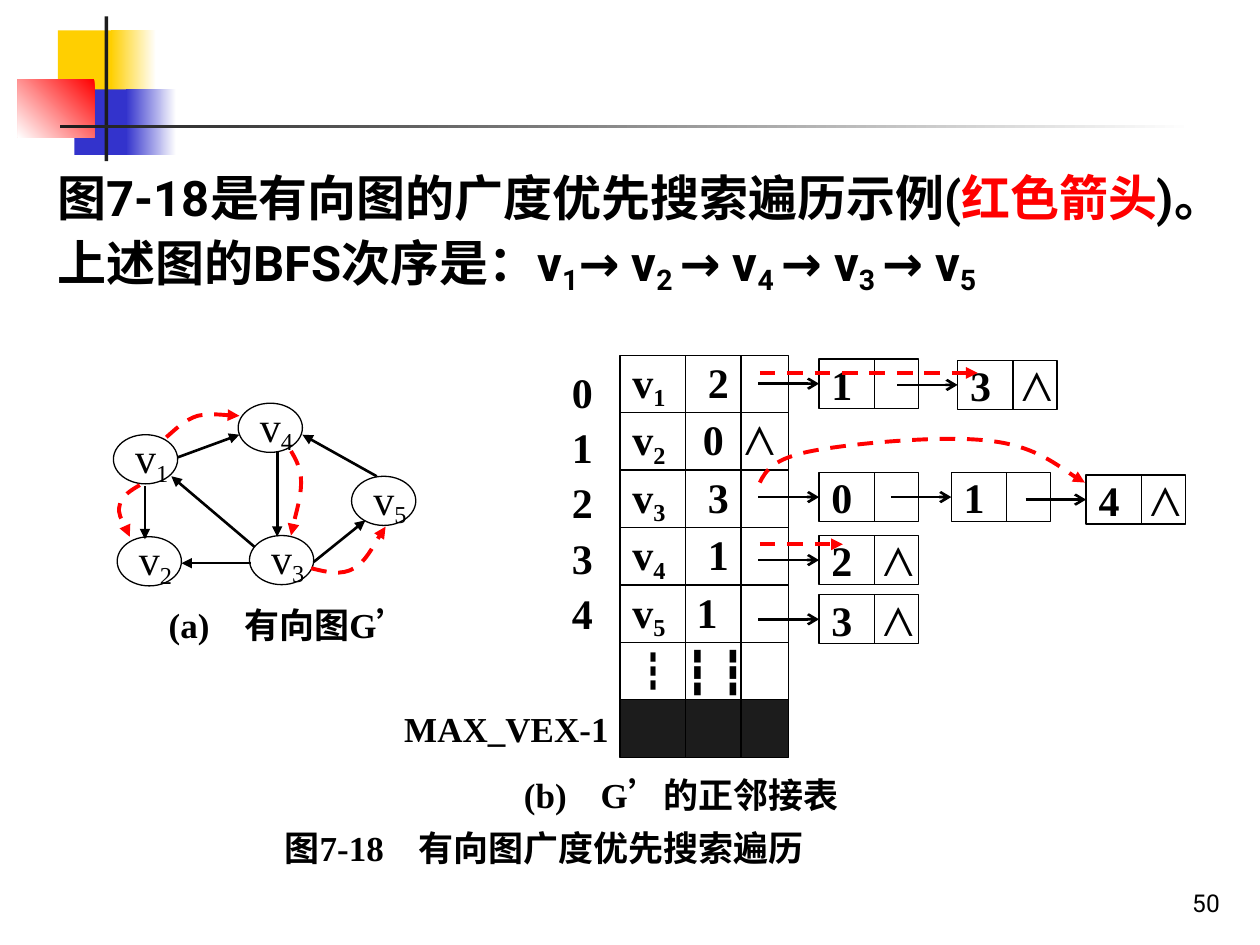
from lxml import etree
from pptx import Presentation
from pptx import util as u
from pptx.dml.color import RGBColor
from pptx.enum import dml, shapes, text
from pptx.oxml import ns

COLORS = {"black": "000000", "red": "FF0000", "white": "FFFFFF", "ink": "1C1C1C",
          "yellow": "FFCF01", "blue": "3333CC"}
SERIF, SANS, CHINESE = "Times New Roman", "Roboto", "Noto Sans CJK SC"
FRAME = {"word_wrap": False, "auto_size": text.MSO_AUTO_SIZE.NONE,
         "vertical_anchor": text.MSO_ANCHOR.MIDDLE}
CELL = {"name": SERIF, "size": u.Pt(24), "bold": True}
VERTEX = {**CELL, "bold": False}
CAPTION = {**CELL, "size": u.Pt(20)}
BODY = {"name": SANS, "size": u.Pt(28), "bold": True}
WEDGE = ("⋀", {"bold": False})


def color(name):
    return RGBColor.from_string(COLORS[name])


def apply(target, values):
    for name, value in values.items():
        setattr(target, name, value)


def inches(*values):
    return [u.Inches(value) for value in values]


def add_child(parent, tag, **attributes):
    return etree.SubElement(parent, ns.qn(tag), attributes)


def write(paragraph, runs, font, tabs=(), align=text.PP_ALIGN.LEFT, spacing=1):
    apply(paragraph, {"alignment": align, "line_spacing": spacing, "space_before": u.Pt(0)})
    if tabs:
        tab_list = add_child(paragraph._p.get_or_add_pPr(), "a:tabLst")
        for position in tabs:
            add_child(tab_list, "a:tab", pos=str(u.Inches(position)), algn="l")
    for content, changes in runs:
        values = {**font, **changes}
        tint = values.pop("color", "black")
        baseline = values.pop("baseline", 0)
        run = paragraph.add_run()
        run.text = content
        apply(run.font, values)
        run.font.color.rgb = color(tint)
        properties = run._r.get_or_add_rPr()
        add_child(properties, "a:ea", typeface=CHINESE)
        if baseline:
            properties.set("baseline", str(baseline * 1000))


def add_label(slide, box, lines, font, tabs=(), spacing=1, frame=FRAME,
              align=text.PP_ALIGN.LEFT):
    shape = slide.shapes.add_textbox(*inches(*box))
    apply(shape.text_frame, frame)
    for index, line in enumerate(lines):
        paragraph = shape.text_frame.add_paragraph() if index else shape.text_frame.paragraphs[0]
        write(paragraph, [(line, {})], font, tabs, align, spacing)


def add_box(slide, box, runs=(), font=CELL, tabs=(), kind="RECTANGLE", fill=None):
    shape = slide.shapes.add_shape(getattr(shapes.MSO_SHAPE, kind), *inches(*box))
    shape.shadow.inherit = False
    if fill:
        shape.fill.solid()
        shape.fill.fore_color.rgb = color(fill)
    else:
        shape.fill.background()
    shape.line.color.rgb = color("black")
    shape.line.width = u.Pt(0.75)
    apply(shape.text_frame, FRAME)
    write(shape.text_frame.paragraphs[0], runs, font, tabs)
    return shape


def format_line(shape, tint, width, arrow=None, dashed=False):
    shape.line.color.rgb = color(tint)
    shape.line.width = u.Pt(width)
    if dashed:
        shape.line.dash_style = dml.MSO_LINE.DASH
    if arrow:
        add_child(shape.line._get_or_add_ln(), "a:tailEnd", type=arrow)


def add_line(slide, start, end, tint="black", width=1.5, arrow=None, dashed=False):
    line = slide.shapes.add_connector(shapes.MSO_CONNECTOR.STRAIGHT, *inches(*start, *end))
    add_child(line._element.spPr, "a:effectLst")
    format_line(line, tint, width, arrow, dashed)
    return line


def add_red_curve(slide, points):
    builder = slide.shapes.build_freeform(*inches(*points[0]))
    builder.add_line_segments([inches(*point) for point in points[1:]], close=False)
    curve = builder.convert_to_shape()
    curve.shadow.inherit = False
    curve.fill.background()
    format_line(curve, "red", 2.25, "triangle", True)
    outline = curve._element.find(".//" + ns.qn("a:path"))
    segments = outline.findall(ns.qn("a:lnTo"))
    for index in range(0, len(segments), 3):
        bezier = add_child(outline, "a:cubicBezTo")
        for segment in segments[index:index + 3]:
            bezier.append(segment[0])
            outline.remove(segment)


def add_ornament(slide):
    parts = [((0.46, 0.24, 0.48, 0.52), ["yellow"], 0),
             ((0.88, 0.24, 0.36, 0.52), ["white", "yellow"], 180),
             ((0.59, 0.71, 0.46, 0.52), ["blue"], 0),
             ((1, 0.71, 0.4, 0.52), ["white", "blue"], 180),
             ((0.14, 0.63, 0.61, 0.46), ["red", "white"], 225),
             ((0.83, 0.13, 0.03, 1.15), ["ink"], 0),
             ((0.48, 0.99, 9, 0.03), ["white", "ink"], 180)]
    for box, tints, angle in parts:
        shape = add_box(slide, box, fill=tints[0])
        shape.line.fill.background()
        if len(tints) > 1:
            shape.fill.gradient()
            shape.fill.gradient_angle = angle
            for stop, tint in zip(shape.fill.gradient_stops, tints):
                stop.color.rgb = color(tint)


def add_body(slide, box):
    body = slide.placeholders[1]
    apply(body, dict(zip(("left", "top", "width", "height"), inches(*box))))
    apply(body.text_frame, {**FRAME, "word_wrap": True, "vertical_anchor": text.MSO_ANCHOR.TOP})
    paragraph = body.text_frame.paragraphs[0]
    properties = paragraph._p.get_or_add_pPr()
    properties.set("marL", "0")
    properties.set("indent", "0")
    add_child(properties, "a:buNone")
    runs = [("图7-18是有向图的广度优先搜索遍历示例(", {}), ("红色箭头", {"color": "red"}),
            (")", {}), ("。", {"name": CHINESE}), ("上述图的BFS次序是", {}),
            ("：", {"name": CHINESE}), ("v", {}), ("1", {"baseline": -18})]
    for number in ("2 ", "4 ", "3 ", "5"):
        runs += [("→ v", {}), (number, {"baseline": -18})]
    write(paragraph, runs, BODY, spacing=1.1)


def add_graph(slide, box):
    left, top = box[:2]

    def at(x, y):
        return left + x, top + y

    for number, x, y in [(1, 0, 0.25), (2, 0.03, 1.06), (3, 1.08, 1.05), (4, 0.99, 0), (5, 1.89, 0.58)]:
        add_box(slide, (*at(x, y), 0.51, 0.39),
                [("v", {}), (str(number), {"baseline": -20})], VERTEX, kind="OVAL")
    edges = [((0.25, 0.66), (0.25, 1.08)), ((1.3, 0.39), (1.3, 1.06)),
             ((1.12, 1.14), (0.46, 0.58)), ((0.51, 0.43), (1, 0.25)),
             ((1.09, 1.27), (0.54, 1.27)), ((2.09, 0.58), (1.5, 0.25)),
             ((1.59, 1.26), (2, 0.93))]
    for start, end in edges:
        add_line(slide, at(*start), at(*end), arrow="triangle")
    curves = [
        [(0.42, 0.27), (0.5, 0.2), (0.57, 0.13), (0.67, 0.1), (0.77, 0.08), (0.95, 0.1), (1, 0.1)],
        [(0.21, 0.65), (0.14, 0.69), (0.06, 0.74), (0.05, 0.81), (0.03, 0.88), (0.12, 1.02), (0.13, 1.06)],
        [(1.41, 0.38), (1.45, 0.45), (1.49, 0.52), (1.49, 0.63), (1.49, 0.74), (1.42, 0.98), (1.41, 1.05)],
        [(1.57, 1.31), (1.69, 1.34), (1.81, 1.37), (1.91, 1.31), (2, 1.26), (2.12, 1.03), (2.16, 0.98)]]
    for points in curves:
        add_red_curve(slide, [at(*point) for point in points])
    add_label(slide, (*at(0.34, 1.58), 1.73, 0.35), ["(a)\t有向图G’"], CAPTION, [0.6])


def add_vertex_table(slide, box):
    left, top, width, height = box
    row_height = height / 7
    rows = [("1", "\t2", [0.6]), ("2", "\t0\t", [0.56, 0.89]), ("3", "\t3", [0.6]),
            ("4", "\t1", [0.6]), ("5", "\t1", [0.51]), None, None]
    for index, row in enumerate(rows):
        y = top + index * row_height
        runs, tabs = [], ()
        if row:
            number, content, tabs = row
            runs = [("v", {}), (number, {"baseline": -20}), (content, {})]
            if number == "2":
                runs.append(WEDGE)
        elif index == 5:
            runs = [("┇", {"name": CHINESE}), (" ┇ ┇", {})]
        add_box(slide, (left, y, width, row_height), runs, tabs=tabs,
                fill="ink" if index == 6 else None)
        for x in (left + 0.52, left + 0.96):
            add_line(slide, (x, y), (x, y + row_height), width=0.75)
    add_label(slide, (left - 0.48, top - 0.01, 0.39, 2.31), list("01234"), CELL, spacing=1.1)
    add_label(slide, (left - 1.81, top + 2.77, 1.73, 0.39), ["MAX_VEX-1"], CAPTION)
    add_label(slide, (left - 0.86, top + 3.31, 2.76, 0.35), ["(b)\tG’的正邻接表"], CAPTION, [0.61])


def add_edge_lists(slide, box):
    left, top = box[:2]
    width, height = 0.79, 0.39
    nodes = [("1", 0, 0, False), ("3", 1.1, 0.01, True),
             ("0", 0, 0.9, False), ("1", 1.05, 0.9, False), ("4", 2.12, 0.92, True),
             ("2", 0, 1.4, True), ("3", 0, 1.87, True)]
    for number, x, y, last in nodes:
        x, y = left + x, top + y
        runs = [(number + "\t", {}), WEDGE] if last else [(number, {})]
        node = add_box(slide, (x, y, width, height), runs, tabs=[0.41] if last else ())
        add_line(slide, (x + 0.44, y), (x + 0.44, y + height), width=0.75)
        middle = y + height / 2
        arrow = add_line(slide, (x - 0.48, middle), (x, middle), arrow="arrow")
        arrow.end_connect(node, 1)
    for start, end in [((6.03, 2.96), (7.76, 2.96)), ((6.03, 4.32), (6.69, 4.32))]:
        add_line(slide, start, end, "red", 2.25, "triangle", True)
    add_red_curve(slide, [(6.03, 3.83), (6.08, 3.73), (6.14, 3.64), (6.44, 3.58), (6.75, 3.52),
                          (7.5, 3.45), (7.86, 3.5), (8.22, 3.54), (8.49, 3.77), (8.61, 3.83)])


def main():
    presentation = Presentation()
    apply(presentation, {"slide_width": u.Inches(10), "slide_height": u.Inches(7.5)})
    slide = presentation.slides.add_slide(presentation.slide_layouts[1])
    title = slide.shapes.title._element
    title.getparent().remove(title)
    add_ornament(slide)
    add_body(slide, (0.36, 1.23, 9.64, 1.18))
    add_vertex_table(slide, (4.92, 2.82, 1.34, 3.19))
    add_edge_lists(slide, (6.5, 2.85, 2.91, 2.26))
    add_graph(slide, (0.9, 3.2, 2.4, 1.93))
    add_label(slide, (2.16, 6.55, 4.21, 0.35), ["图7-18\t有向图广度优先搜索遍历"], CAPTION, [1.06])
    add_label(slide, (7.7, 6.83, 2.08, 0.5), ["50"], {"name": SANS, "size": u.Pt(14)},
              frame={**FRAME, "word_wrap": True, "vertical_anchor": text.MSO_ANCHOR.BOTTOM},
              align=text.PP_ALIGN.RIGHT)
    presentation.save("out.pptx")


if __name__ == "__main__":
    main()
